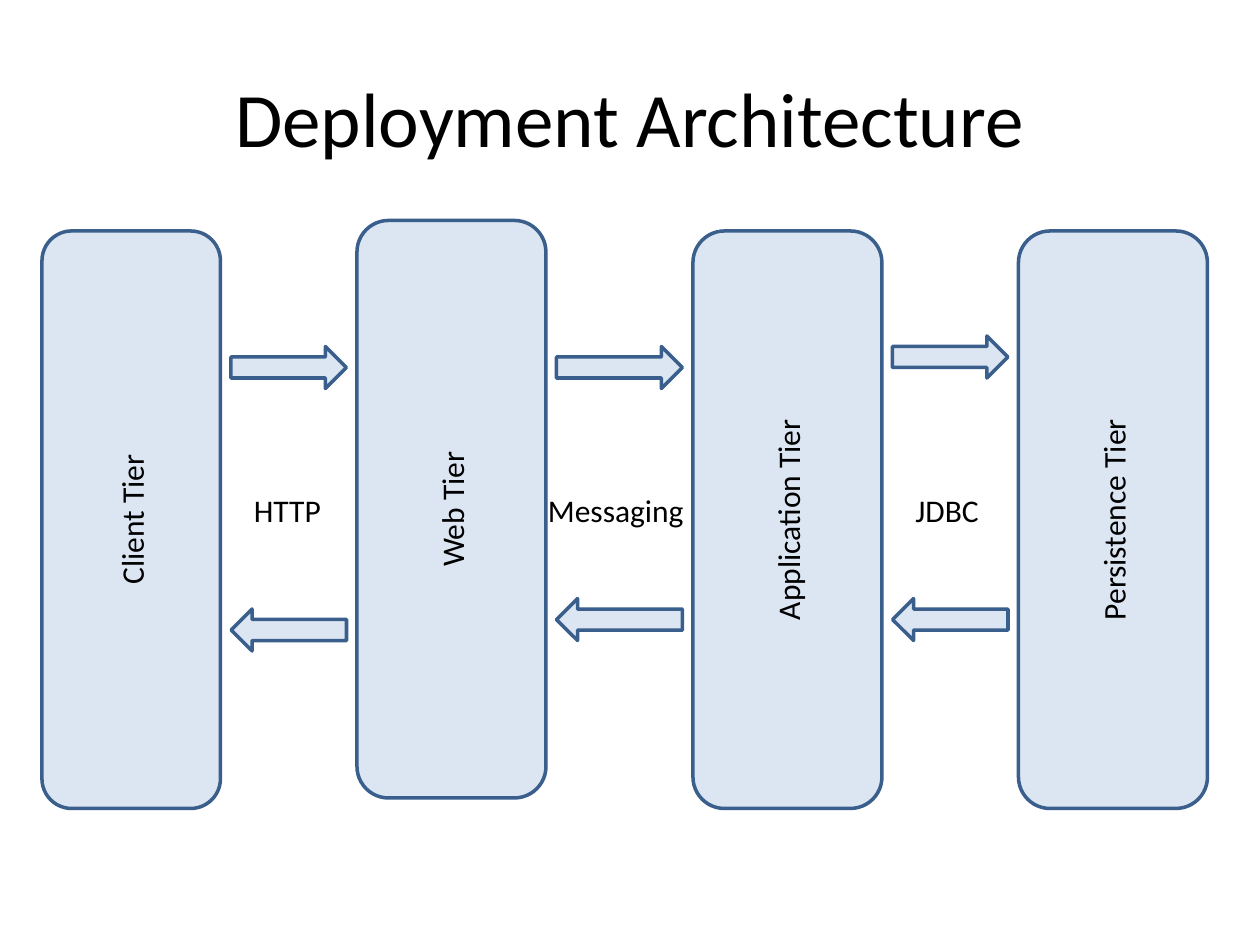
from pptx import Presentation
from pptx.dml.color import RGBColor
from pptx.enum.shapes import MSO_SHAPE as SHAPE
from pptx.enum.text import MSO_ANCHOR as ANCHOR, MSO_AUTO_SIZE as AUTO, PP_ALIGN as ALIGN
from pptx.util import Pt

COLORS = {"fill": "DCE6F2", "line": "3A5F8C", "text": "000000"}
FONT = "Calibri"
TIER_H, ARROW_H, ARROW_GAP = 330, 24, 6
LABEL_TOP, LABEL_H = 277.2, 29

# name, left, top, width
TIERS = [
    ("Client Tier", 24, 132, 102),
    ("Web Tier", 204, 126, 108),
    ("Application Tier", 396, 132, 108),
    ("Persistence Tier", 582, 132, 108),
]
# protocol, label left, label width, request arrow top, response arrow top
LINKS = [
    ("HTTP", 138, 53.3, 198, 348),
    ("Messaging", 306, 92.9, 198, 342),
    ("JDBC", 516, 51.1, 192, 342),
]


def color(name):
    return RGBColor.from_string(COLORS[name])


def write(tf, text, size, align):
    p = tf.paragraphs[0]
    p.text = text
    p.alignment = align
    p.font.name = FONT
    p.font.size = Pt(size)
    p.font.color.rgb = color("text")


def add_title(slide, text):
    sp = slide.shapes.title
    sp.left, sp.top, sp.width, sp.height = Pt(36), Pt(21.6), Pt(648), Pt(90)
    sp.text_frame.vertical_anchor = ANCHOR.MIDDLE
    write(sp.text_frame, text, 44, ALIGN.CENTER)


def add_block(slide, kind, left, top, width, height):
    sp = slide.shapes.add_shape(kind, Pt(left), Pt(top), Pt(width), Pt(height))
    sp.shadow.inherit = False
    sp.fill.solid()
    sp.fill.fore_color.rgb = color("fill")
    sp.line.color.rgb = color("line")
    sp.line.width = Pt(2)
    return sp


def add_tier(slide, name, left, top, width):
    sp = add_block(slide, SHAPE.ROUNDED_RECTANGLE, left, top, width, TIER_H)
    tf = sp.text_frame
    tf.vertical_anchor = ANCHOR.MIDDLE
    write(tf, name, 18, ALIGN.CENTER)
    # Text reads from bottom to top
    tf._txBody.bodyPr.set("vert", "vert270")


def add_arrow(slide, left, top, width, rotation=0):
    sp = add_block(slide, SHAPE.RIGHT_ARROW, left, top, width, ARROW_H)
    sp.rotation = rotation


def add_label(slide, text, left, width):
    sp = slide.shapes.add_textbox(Pt(left), Pt(LABEL_TOP), Pt(width), Pt(LABEL_H))
    tf = sp.text_frame
    tf.word_wrap = False
    tf.auto_size = AUTO.SHAPE_TO_FIT_TEXT
    write(tf, text, 18, ALIGN.LEFT)


def main():
    prs = Presentation()
    prs.slide_width, prs.slide_height = Pt(720), Pt(540)
    slide = prs.slides.add_slide(prs.slide_layouts[5])
    add_title(slide, "Deployment Architecture")

    # Tiers
    for tier in TIERS:
        add_tier(slide, *tier)

    # Request and response arrows fill the gap between neighbouring tiers
    for before, after, link in zip(TIERS, TIERS[1:], LINKS):
        protocol, label_left, label_width, request_top, response_top = link
        left = before[1] + before[3] + ARROW_GAP
        width = after[1] - ARROW_GAP - left
        add_arrow(slide, left, request_top, width)
        add_arrow(slide, left, response_top, width, rotation=180)
        add_label(slide, protocol, label_left, label_width)

    prs.save("out.pptx")


if __name__ == "__main__":
    main()
